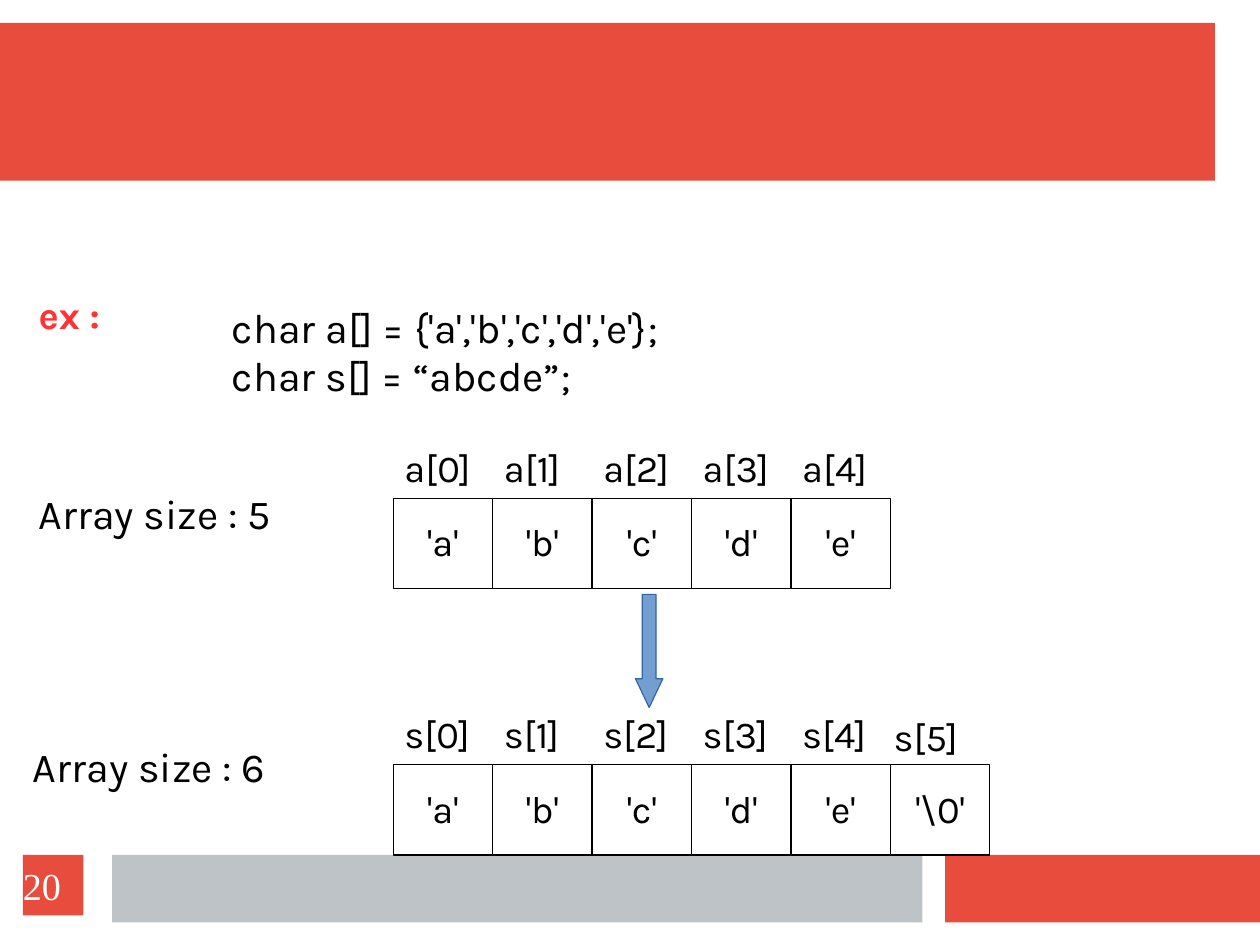
from pptx import Presentation
from pptx.dml.color import RGBColor
from pptx.enum.shapes import MSO_SHAPE
from pptx.enum.text import MSO_ANCHOR, PP_ALIGN
from pptx.util import Cm, Inches, Pt

RECTANGLE, DOWN_ARROW = MSO_SHAPE.RECTANGLE, MSO_SHAPE.DOWN_ARROW
TOP, MIDDLE = MSO_ANCHOR.TOP, MSO_ANCHOR.MIDDLE
LEFT, CENTER = PP_ALIGN.LEFT, PP_ALIGN.CENTER

WIDTH, HEIGHT = Cm(28), Cm(21)
RED, GRAY, WHITE, BLACK = "E74C3C", "BDC3C7", "FFFFFF", "000000"
EXAMPLE_RED, ARROW_BLUE, ARROW_EDGE = "FF3333", "729FCF", "3465A4"

ARRAY_LEFT, COLUMN = 3.44, 0.87
CELL_HEIGHT, LABEL_HEIGHT = 0.79, 0.5
FOOTER_TOP = 7.48
CHARACTER_ROW, STRING_ROW = 4.36, FOOTER_TOP - CELL_HEIGHT


def color(hex_value):
    return RGBColor.from_string(hex_value)


def write(shape, lines, size=24, font="Karla", ink=BLACK, bold=False,
          align=LEFT, anchor=TOP, margins=(0.1, 0.05), spacing=0.97):
    frame = shape.text_frame
    side, edge = (Inches(margin) for margin in margins)
    frame_format = {"word_wrap": True, "vertical_anchor": anchor,
                    "margin_left": side, "margin_right": side,
                    "margin_top": edge, "margin_bottom": edge}
    for name, value in frame_format.items():
        setattr(frame, name, value)
    for index, line in enumerate(lines):
        paragraph = frame.add_paragraph() if index else frame.paragraphs[0]
        paragraph.alignment = align
        paragraph.line_spacing = spacing
        run = paragraph.add_run()
        run.text = line
        for name, value in {"name": font, "size": Pt(size), "bold": bold}.items():
            setattr(run.font, name, value)
        run.font.color.rgb = color(ink)


def add_block(slide, box, fill, line=None, kind=RECTANGLE):
    shape = slide.shapes.add_shape(kind, *map(Inches, box))
    shape.shadow.inherit = False
    shape.fill.solid()
    shape.fill.fore_color.rgb = color(fill)
    if line:
        shape.line.color.rgb = color(line)
        shape.line.width = Pt(0.75)
    else:
        shape.line.fill.background()
    return shape


def add_text(slide, box, *lines, **text_format):
    write(slide.shapes.add_textbox(*map(Inches, box)), lines, **text_format)


def add_array(slide, name, values, top, nudges):
    """Draw one cell per value with its index above; nudges shift single labels."""
    for index, value in enumerate(values):
        left = ARRAY_LEFT + index * COLUMN
        cell = add_block(slide, (left, top, COLUMN, CELL_HEIGHT), WHITE, BLACK)
        write(cell, [f"'{value}'"], align=CENTER, anchor=MIDDLE)
        right, down = nudges.get(index, (0, 0))
        label_box = (left + right, top - LABEL_HEIGHT + down, COLUMN, LABEL_HEIGHT)
        add_text(slide, label_box, f"{name}[{index}]")


def add_bands(slide):
    add_block(slide, (0, 0.2, 10.63, 1.38), RED)
    add_block(slide, (8.27, FOOTER_TOP, 2.76, 0.59), RED)
    add_block(slide, (0.98, FOOTER_TOP, 7.09, 0.59), GRAY)


def add_page_number(slide, number):
    square = add_block(slide, (0.2, FOOTER_TOP, 0.53, 0.53), RED)
    write(square, [number], font="Times New Roman", ink=WHITE,
          anchor=MIDDLE, margins=(0, 0), spacing=1.0)


def main():
    presentation = Presentation()
    presentation.slide_width = WIDTH
    presentation.slide_height = HEIGHT
    slide = presentation.slides.add_slide(presentation.slide_layouts[6])

    add_bands(slide)
    add_text(slide, (0.24, 2.52, 1.73, 0.5), "ex :", ink=EXAMPLE_RED, bold=True)
    add_text(slide, (1.93, 2.62, 5.39, 0.95),
             "char a[] = {'a','b','c','d','e'};", "char s[] = “abcde”;", size=26)

    add_array(slide, "a", "abcde", CHARACTER_ROW, {})
    add_array(slide, "s", [*"abcde", "\\0"], STRING_ROW, {5: (-0.07, 0.03)})
    arrow = add_block(slide, (5.56, 5.2, 0.24, 0.99), ARROW_BLUE, ARROW_EDGE, DOWN_ARROW)
    arrow.adjustments[0] = 0.5
    arrow.adjustments[1] = 1.05

    add_text(slide, (0.24, 4.25, 2.57, 0.53), "Array size : 5", size=26)
    add_text(slide, (0.19, 6.46, 2.57, 0.53), "Array size : 6", size=26)
    add_page_number(slide, "20")
    presentation.save("out.pptx")


if __name__ == "__main__":
    main()
